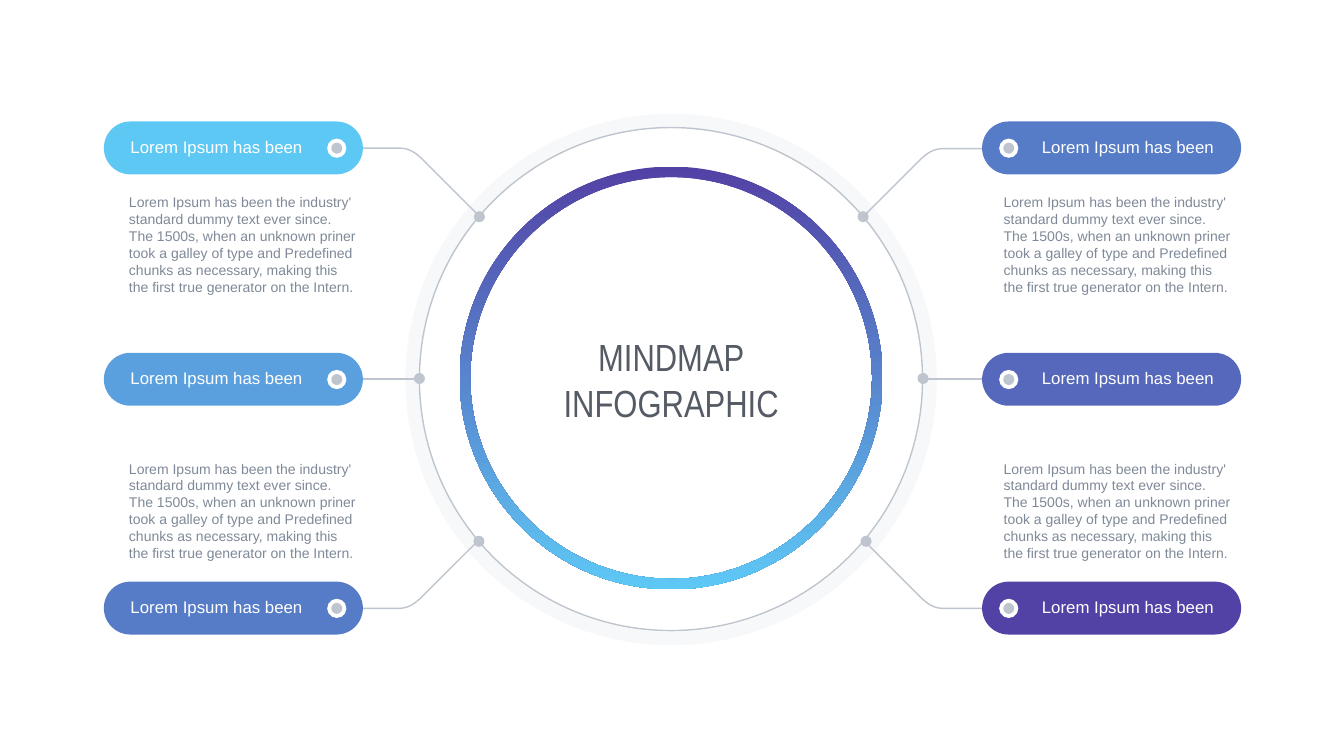
from dataclasses import dataclass
from lxml.etree import SubElement
from pptx import Presentation
from pptx.dml.color import RGBColor
from pptx.enum.shapes import MSO_CONNECTOR, MSO_SHAPE
from pptx.enum.text import MSO_ANCHOR, MSO_AUTO_SIZE, PP_ALIGN
from pptx.oxml.ns import qn
from pptx.util import Pt


@dataclass(frozen=True)
class Theme:
    halo: str = "EFF0F4"
    grey: str = "BFC5CE"
    white: str = "FFFFFF"
    title: str = "555B64"
    body: str = "7F8998"
    sky: str = "5EC8F5"
    azure: str = "5AA0DF"
    blue: str = "567BC7"
    indigo: str = "5568BC"
    violet: str = "5242A5"
    title_font: str = "Arial Narrow"
    text_font: str = "Arial"
    title_size: int = 54
    label_size: int = 24
    body_size: int = 20
    line_width: int = 2


theme = Theme()
LABEL = "Lorem Ipsum has been"
DESCRIPTION = (
    "Lorem Ipsum has been the industry' standard dummy text ever since. "
    "The 1500s, when an unknown priner took a galley of type and Predefined "
    "chunks as necessary, making this the first true generator on the Intern."
)

deck = Presentation()
deck.slide_width, deck.slide_height = Pt(1919.5), Pt(1080)
slide = deck.slides.add_slide(deck.slide_layouts[5])
shapes = slide.shapes


def add_solid(kind, left, top, width, height, color):
    shape = shapes.add_shape(kind, Pt(left), Pt(top), Pt(width), Pt(height))
    shape.shadow.inherit = False
    shape.fill.solid()
    shape.fill.fore_color.rgb = RGBColor.from_string(color)
    shape.line.fill.background()
    return shape


def write(frame, lines, font, size, color, align=PP_ALIGN.LEFT):
    for index, line in enumerate(lines):
        paragraph = frame.add_paragraph() if index else frame.paragraphs[0]
        paragraph.alignment = align
        run = paragraph.add_run()
        run.text = line
        run.font.name = font
        run.font.size = Pt(size)
        run.font.color.rgb = RGBColor.from_string(color)


# Pale halo and gradient ring
halo = add_solid(MSO_SHAPE.DONUT, 579, 162.7, 759, 759, theme.halo)
halo.adjustments[0] = 0.025
halo_color = halo.fill._xPr.find(qn("a:solidFill"))[0]
SubElement(halo_color, qn("a:alpha"), val="45000")

ring = add_solid(MSO_SHAPE.DONUT, 656.6, 238, 604, 604, theme.violet)
ring.adjustments[0] = 0.025
ring.fill.gradient()
ring.fill.gradient_angle = 270
for stop, position, color in zip(ring.fill.gradient_stops, (0, 1), (theme.violet, theme.sky)):
    stop.position = position
    stop.color.rgb = RGBColor.from_string(color)

# Centre title
title = shapes.title
title.left, title.top, title.width, title.height = Pt(680.4), Pt(473), Pt(556.6), Pt(137.5)
title_frame = title.text_frame
title_frame.word_wrap = True
title_frame.auto_size = MSO_AUTO_SIZE.SHAPE_TO_FIT_TEXT
title_frame.vertical_anchor = MSO_ANCHOR.MIDDLE
title_frame.margin_left = title_frame.margin_right = Pt(4.3)
title_frame.margin_top = title_frame.margin_bottom = Pt(4.3)
write(title_frame, ("MINDMAP", "INFOGRAPHIC"), theme.title_font, theme.title_size,
      theme.title, PP_ALIGN.CENTER)

# Thin orbit with six dots
orbit = add_solid(MSO_SHAPE.OVAL, 599, 182.2, 718.6, 718.6, theme.white)
orbit.fill.background()
orbit.line.color.rgb = RGBColor.from_string(theme.grey)
orbit.line.width = Pt(theme.line_width)

DOT = 15.8
for dot_left, dot_top in ((1224.7, 301.7), (1229, 765.4), (1310.4, 532.8),
                          (676.8, 301.7), (676.1, 765.4), (591.1, 532.8)):
    add_solid(MSO_SHAPE.OVAL, dot_left, dot_top, DOT, DOT, theme.grey)

# Bent branches: a diagonal, a sampled Bézier bend, then a level run
bend = ((77.8, 77.8), (85, 84.2), (93.6, 92.2), (108, 92.9))
branch = []
for step in range(13):
    t = step / 12
    weights = ((1 - t) ** 3, 3 * t * (1 - t) ** 2, 3 * t * t * (1 - t), t ** 3)
    branch.append([sum(w * p[axis] for w, p in zip(weights, bend)) for axis in (0, 1)])
branch.append((167, 92.9))

for start_x, start_y, across, down in ((1237, 305.3, 1, -1), (680.4, 304.6, -1, -1),
                                       (679, 776.2, -1, 1), (1237.7, 776.2, 1, 1)):
    outline = shapes.build_freeform(Pt(start_x), Pt(start_y))
    outline.add_line_segments(
        [(Pt(start_x + across * x), Pt(start_y + down * y)) for x, y in branch], close=False)
    bent = outline.convert_to_shape()
    bent.shadow.inherit = False
    bent.fill.background()
    bent.line.color.rgb = RGBColor.from_string(theme.grey)
    bent.line.width = Pt(theme.line_width)

# Level branches
for start_x, end_x in ((1322.6, 1404.7), (509, 591.1)):
    level = shapes.add_connector(MSO_CONNECTOR.STRAIGHT, Pt(start_x), Pt(541.2),
                                 Pt(end_x), Pt(541.2))
    level.line.color.rgb = RGBColor.from_string(theme.grey)
    level.line.width = Pt(theme.line_width)
    SubElement(level._element.spPr, qn("a:effectLst"))

# Both sides: pill, badge, label and description positions
sides = (
    (148.3, 467.3, 179.3, 177.1, (theme.sky, theme.azure, theme.blue)),
    (1402.6, 1427, 1481, 1426.3, (theme.blue, theme.indigo, theme.violet)),
)
for pill_left, badge_left, label_left, description_left, colors in sides:
    for top, color in zip((173.5, 504, 830.9), colors):
        pill = add_solid(MSO_SHAPE.ROUNDED_RECTANGLE, pill_left, top, 370, 75.6, color)
        pill.adjustments[0] = 0.5
        add_solid(MSO_SHAPE.OVAL, badge_left, top + 24.5, 27.4, 27.4, theme.white)
        add_solid(MSO_SHAPE.OVAL, badge_left + 5.8, top + 30.3, DOT, DOT, theme.grey)
        label = shapes.add_textbox(Pt(label_left), Pt(top + 18), Pt(266.4), Pt(36)).text_frame
        label.word_wrap = False
        label.auto_size = MSO_AUTO_SIZE.SHAPE_TO_FIT_TEXT
        write(label, (LABEL,), theme.text_font, theme.label_size, theme.white)
    for top in (273.6, 653.8):
        description = shapes.add_textbox(Pt(description_left), Pt(top), Pt(339.8),
                                         Pt(151.2)).text_frame
        description.word_wrap = True
        description.auto_size = MSO_AUTO_SIZE.SHAPE_TO_FIT_TEXT
        write(description, (DESCRIPTION,), theme.text_font, theme.body_size, theme.body)

deck.save("out.pptx")
